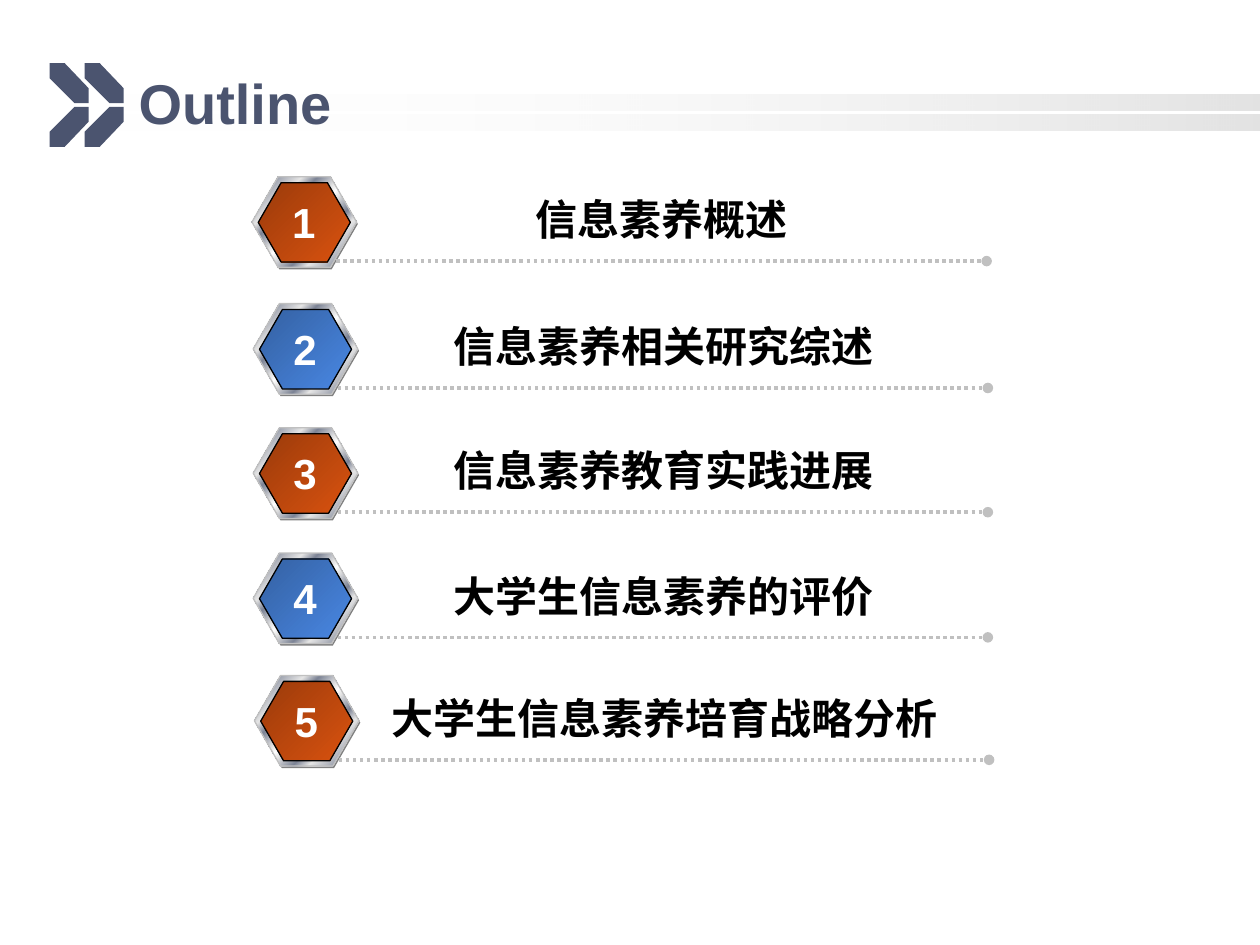
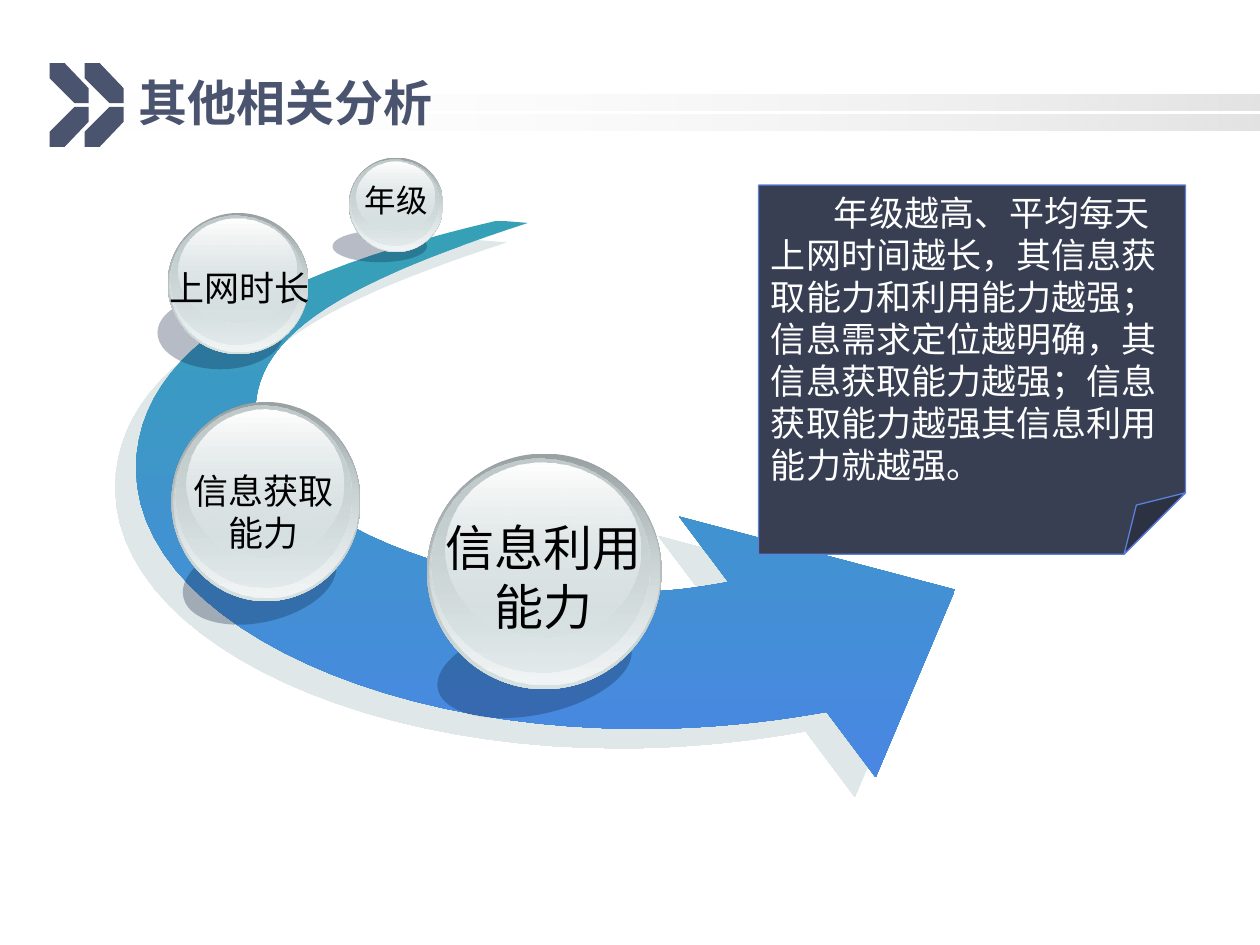
import dataclasses
import typing

import pptx
import pptx.dml.color
import pptx.enum.dml
import pptx.enum.shapes
import pptx.enum.text
import pptx.oxml
import pptx.oxml.ns
import pptx.util

Pt = pptx.util.Pt
SHAPE = pptx.enum.shapes.MSO_SHAPE
ALIGN = pptx.enum.text.PP_ALIGN
ANCHOR = pptx.enum.text.MSO_ANCHOR
Box = tuple[float, float, float, float]
Point = tuple[float, float]
Stop = tuple[int, str, int]  # position, colour name, opacity; numbers in percent
Fill = str | list[Stop]

LATIN_FONT = "Arial"
CHINESE_FONT = "Noto Sans CJK SC"
COLORS = {
    "white": "FFFFFF", "black": "000000", "slate": "4B546F", "band": "969696",
    "hexagon shadow": "808080", "dots": "C0C0C0", "silver": "E6E6E6", "steel": "7D8496",
    "rust dark": "9B3B0B", "rust": "D9520F", "blue dark": "3461A2", "blue": "4987E3",
    "teal": "36A1B6", "arrow shadow": "C1D1D3", "note": "383F53", "note line": "5B81DD",
    "ball shadow": "0F2145", "ball rim": "99A1A2", "ball": "D6E1E2",
    "ball light": "F2F5F5", "ball inner": "C1CBCC",
}


@dataclasses.dataclass(frozen=True)
class TextStyle:
    size: float
    color: str = "black"
    bold: bool = False
    font: str = CHINESE_FONT
    align: ALIGN = ALIGN.CENTER
    wrap: bool = False
    indent: float = 0


@dataclasses.dataclass(frozen=True)
class AgendaItem:
    left: float
    top: float
    text: str


@dataclasses.dataclass(frozen=True)
class Ball:
    box: Box
    shadow: Box
    shadow_rotation: float
    label: Box
    text: str
    size: float


@dataclasses.dataclass(frozen=True)
class Bezier:
    """A cubic curve, pulled from start to end by two handles."""
    start: Point
    start_handle: Point
    end_handle: Point
    end: Point

    def point_at(self, t: float) -> Point:
        weights = ((1 - t) ** 3, 3 * t * (1 - t) ** 2, 3 * t ** 2 * (1 - t), t ** 3)
        corners = (self.start, self.start_handle, self.end_handle, self.end)
        x, y = (sum(weight * corner[axis] for weight, corner in zip(weights, corners))
                for axis in (0, 1))
        return x, y


AGENDA = [
    AgendaItem(144, 101, "信息素养概述"),
    AgendaItem(144.7, 173.5, "信息素养相关研究综述"),
    AgendaItem(144.7, 244.5, "信息素养教育实践进展"),
    AgendaItem(144.7, 316, "大学生信息素养的评价"),
    AgendaItem(145.4, 386, "大学生信息素养培育战略分析"),
]
AGENDA_STYLE = TextStyle(24, bold=True, font=LATIN_FONT, wrap=True)
NUMBER_STYLE = TextStyle(24, "white", bold=True, font=LATIN_FONT)
BADGE_FILLS = [("rust dark", "rust"), ("blue dark", "blue")]
METAL: list[Stop] = [
    (position, color, 100) for position, color in [
        (0, "silver"), (8, "steel"), (26, "silver"), (34, "steel"), (46, "silver"),
        (50, "white"), (54, "silver"), (66, "steel"), (74, "silver"), (93, "steel"),
        (100, "silver")]
]

BALLS = [
    Ball((244, 259.2, 134, 134.6), (249, 355.7, 113, 52.6), 347.9,
         (247, 292.3, 127.4, 75), "信息利用\v能力", 28),
    Ball((98, 229.7, 108, 113.8), (103.7, 307.4, 89.3, 48.2), 347.1,
         (103, 265, 95, 55.4), "信息获取\v能力", 20),
    Ball((95.8, 121.7, 80.6, 80.6), (90, 169.2, 72, 41.8), 0,
         (89.3, 149, 95, 31.7), "上网时长", 20),
    Ball((199.4, 90, 54, 54), (190, 131.8, 54, 18), 0,
         (201, 100, 51, 28.8), "年级", 18),
]
# Each layer: left, top, width, height as shares of the ball, then its gradient
BALL_LAYERS: list[tuple[Box, list[Stop]]] = [
    ((0, 0, 1, 1), [(0, "ball rim", 100), (100, "ball", 100)]),
    ((0.01, 0.01, 0.98, 0.97), [(0, "ball", 0), (100, "ball light", 100)]),
    ((0.02, 0.02, 0.93, 0.91), [(0, "ball inner", 100), (100, "ball", 48)]),
    ((0.08, 0.04, 0.83, 0.74), [(0, "white", 100), (100, "ball", 38)]),
]

NOTE_TEXT = ("年级越高、平均每天上网时间越长，其信息获取能力和利用能力越强；"
             "信息需求定位越明确，其信息获取能力越强；信息获取能力越强其信息利用能力就越强。")
NOTE_STYLE = TextStyle(20, "white", align=ALIGN.LEFT, wrap=True, indent=36)

# The arrow sweeps from its tail round the left and the bottom to the head, and back inside
TAIL_OUTER, TAIL_INNER = (284.4, 126), (301.7, 127.4)
OUTER_LEFT, OUTER_BOTTOM = (77.8, 267.8), (366, 416.5)
INNER_LEFT, INNER_BOTTOM = (146, 235), (367, 338)
NECK_OUTER, NECK_INNER = (472.3, 406.8), (416.2, 332.6)
ARROW_HEAD: list[Point] = [(500.4, 444.2), (545.8, 337), (388.1, 295.2)]
ARROW_OUTER_EDGE = [
    Bezier(TAIL_OUTER, (159.4, 155), (77.8, 197.8), OUTER_LEFT),
    Bezier(OUTER_LEFT, (77.8, 350), (206.8, 416.5), OUTER_BOTTOM),
    Bezier(OUTER_BOTTOM, (402, 416.5), (438, 413), NECK_OUTER),
]
ARROW_INNER_EDGE = [
    Bezier(NECK_INNER, (400, 335.5), (384, 338), INNER_BOTTOM),
    Bezier(INNER_BOTTOM, (248, 338), (146, 288), INNER_LEFT),
    Bezier(INNER_LEFT, (146, 188.3), (203.7, 159.4), TAIL_INNER),
]
STEPS_PER_CURVE = 24

CHEVRON_ARM: list[Point] = [(0, 0), (0, 8.6), (14.4, 23), (22.3, 23), (22.3, 14.4), (8.6, 0)]
CHEVRON_LEFTS = (28.3, 48.3)
CHEVRON_TOP, CHEVRON_MIDDLE = 36, 60


def rgb(name: str) -> pptx.dml.color.RGBColor:
    return pptx.dml.color.RGBColor.from_string(COLORS[name])


def drawing_xml(tag: str, attributes: str = "", content: str = "") -> typing.Any:
    namespace = pptx.oxml.ns.nsdecls("a")
    return pptx.oxml.parse_xml(f"<a:{tag} {namespace} {attributes}>{content}</a:{tag}>")


def find_child(element: typing.Any, tag: str) -> typing.Any:
    return element.find(pptx.oxml.ns.qn(f"a:{tag}"))


def color_xml(name: str, opacity: int) -> str:
    return f'<a:srgbClr val="{COLORS[name]}"><a:alpha val="{opacity * 1000}"/></a:srgbClr>'


def set_attributes(target: typing.Any, formats: dict[str, typing.Any]) -> None:
    for name, value in formats.items():
        setattr(target, name, value)


def in_points(values: typing.Iterable[float]) -> list[pptx.util.Length]:
    return [Pt(value) for value in values]


def paint(shape: typing.Any, fill: Fill, angle: int = 90, line: str | None = None) -> None:
    """Fill with one colour or a gradient, outline if asked, and drop the shadow."""
    shape.shadow.inherit = False
    if isinstance(fill, str):
        shape.fill.solid()
        shape.fill.fore_color.rgb = rgb(fill)
    else:
        shape.fill.background()
        stops = "".join(f'<a:gs pos="{position * 1000}">{color_xml(color, opacity)}</a:gs>'
                        for position, color, opacity in fill)
        direction = f'<a:lin ang="{angle * 60000}" scaled="0"/>'
        gradient = drawing_xml("gradFill", 'rotWithShape="1"',
                               f"<a:gsLst>{stops}</a:gsLst>{direction}")
        properties = shape.element.spPr
        properties.replace(find_child(properties, "noFill"), gradient)
    if line:
        shape.line.color.rgb = rgb(line)
        shape.line.width = Pt(0.75)
    else:
        shape.line.fill.background()


def add_painted(slide: typing.Any, kind: SHAPE, box: Box, fill: Fill,
                angle: int = 90, line: str | None = None) -> typing.Any:
    shape = slide.shapes.add_shape(kind, *in_points(box))
    paint(shape, fill, angle, line)
    return shape


def add_outline(slide: typing.Any, corners: list[Point], fill: Fill) -> typing.Any:
    start, *others = [in_points(corner) for corner in corners]
    builder = slide.shapes.build_freeform(*start)
    builder.add_line_segments(others, close=True)
    shape = builder.convert_to_shape()
    paint(shape, fill)
    return shape


def format_run(run: typing.Any, style: TextStyle) -> None:
    set_attributes(run.font, {"name": style.font, "size": Pt(style.size), "bold": style.bold})
    run.font.color.rgb = rgb(style.color)
    run._r.get_or_add_rPr().append(drawing_xml("ea", f'typeface="{CHINESE_FONT}"'))


def write(shape: typing.Any, text: str, style: TextStyle) -> None:
    frame = shape.text_frame
    set_attributes(frame, {"word_wrap": style.wrap, "vertical_anchor": ANCHOR.TOP})
    paragraph = frame.paragraphs[0]
    set_attributes(paragraph, {"text": text, "alignment": style.align,
                               "line_spacing": Pt(1.2 * style.size)})
    if style.indent:
        paragraph._p.get_or_add_pPr().set("indent", str(Pt(style.indent)))
    for run in paragraph.runs:
        format_run(run, style)


def add_label(slide: typing.Any, box: Box, text: str, style: TextStyle) -> None:
    write(slide.shapes.add_textbox(*in_points(box)), text, style)


def add_layout_decor(slide: typing.Any) -> None:
    """Draw the bands and chevrons, then move them to the slide's layout."""
    decor = [add_painted(slide, SHAPE.RECTANGLE, (54, top, 666, 9.2),
                         [(0, "white", 0), (100, "band", 27)], angle=0)
             for top in (54, 65.5)]
    for left in CHEVRON_LEFTS:
        upper = [(left + x, CHEVRON_TOP + y) for x, y in CHEVRON_ARM]
        lower = [(x, 2 * CHEVRON_MIDDLE - y) for x, y in upper]
        decor += [add_outline(slide, arm, "slate") for arm in (upper, lower)]
    for number, shape in enumerate(decor, start=101):
        shape.element.nvSpPr.cNvPr.set("id", str(number))
        slide.slide_layout.shapes.element.append(shape.element)


def set_title(slide: typing.Any, text: str, size: float) -> None:
    title = slide.shapes.title
    set_attributes(title, {"left": Pt(72), "top": Pt(36), "width": Pt(594), "height": Pt(44.6)})
    frame = title.text_frame
    set_attributes(frame, {"text": text, "word_wrap": True, "vertical_anchor": ANCHOR.MIDDLE,
                           "auto_size": pptx.enum.text.MSO_AUTO_SIZE.NONE})
    paragraph = frame.paragraphs[0]
    paragraph.alignment = ALIGN.LEFT
    format_run(paragraph.runs[0], TextStyle(size, "slate", bold=True, font=LATIN_FONT))


def add_badge(slide: typing.Any, left: float, top: float, number: int) -> None:
    dark, bright = BADGE_FILLS[(number - 1) % len(BADGE_FILLS)]
    hexagons = [
        ((left + 0.7, top + 1.1, 59.8, 51.8), "hexagon shadow", None),
        ((left, top, 59.8, 51.8), METAL, "dots"),
        ((left + 3.6, top + 3.4, 52.6, 45.4), [(0, dark, 100), (100, bright, 100)], "black"),
    ]
    for box, fill, line in hexagons:
        add_painted(slide, SHAPE.HEXAGON, box, fill, 45, line).adjustments[0] = 0.289


def add_dotted_rule(slide: typing.Any, left: float, right: float, height: float) -> None:
    rule = slide.shapes.add_connector(pptx.enum.shapes.MSO_CONNECTOR.STRAIGHT,
                                      *in_points((left, height, right, height)))
    set_attributes(rule.line, {"width": Pt(2), "dash_style": pptx.enum.dml.MSO_LINE.ROUND_DOT})
    rule.line.color.rgb = rgb("dots")
    properties = rule.element.spPr
    find_child(properties, "ln").append(drawing_xml("tailEnd", 'type="oval"'))
    properties.append(drawing_xml("effectLst"))


def add_agenda_item(slide: typing.Any, number: int, item: AgendaItem) -> None:
    left, top = item.left, item.top
    add_badge(slide, left, top, number)
    add_dotted_rule(slide, left + 48.2, left + 419.8, top + 48.2)
    add_label(slide, (left + 66.2, top + 6.2, 336.2, 36), item.text, AGENDA_STYLE)
    add_label(slide, (left + 15.6, top + 7.9, 28, 36), str(number), NUMBER_STYLE)


def sample(edge: list[Bezier]) -> list[Point]:
    """Points along joined curves, with each joint taken once."""
    return [edge[0].start] + [curve.point_at(step / STEPS_PER_CURVE)
                              for curve in edge for step in range(1, STEPS_PER_CURVE + 1)]


def add_curved_arrow(slide: typing.Any) -> None:
    corners = sample(ARROW_OUTER_EDGE) + ARROW_HEAD + sample(ARROW_INNER_EDGE)
    arrow = add_outline(slide, corners, [(0, "teal", 100), (100, "blue", 100)])
    shadow = drawing_xml("outerShdw",
                         f'dist="{Pt(16.3)}" dir="{137 * 60000}" algn="ctr" rotWithShape="0"',
                         color_xml("arrow shadow", 50))
    find_child(arrow.element.spPr, "effectLst").append(shadow)


def add_ball(slide: typing.Any, ball: Ball) -> None:
    shadow = add_painted(slide, SHAPE.OVAL, ball.shadow, "ball shadow")
    shadow.rotation = ball.shadow_rotation
    find_child(shadow.element.spPr, "solidFill")[0].append(drawing_xml("alpha", 'val="30000"'))
    left, top, width, height = ball.box
    for (x, y, across, down), stops in BALL_LAYERS:
        layer = (left + x * width, top + y * height, across * width, down * height)
        add_painted(slide, SHAPE.OVAL, layer, stops)
    add_label(slide, ball.label, ball.text, TextStyle(ball.size))


def main() -> None:
    presentation = pptx.Presentation()
    presentation.slide_width, presentation.slide_height = Pt(720), Pt(540)
    title_only = presentation.slide_layouts[5]

    outline = presentation.slides.add_slide(title_only)
    add_layout_decor(outline)
    set_title(outline, "Outline", 32)
    for number, item in enumerate(AGENDA, start=1):
        add_agenda_item(outline, number, item)

    analysis = presentation.slides.add_slide(title_only)
    set_title(analysis, "其他相关分析", 28)
    add_curved_arrow(analysis)
    note = add_painted(analysis, SHAPE.FOLDED_CORNER, (433.5, 105.8, 244, 211), "note",
                       line="note line")
    write(note, NOTE_TEXT, NOTE_STYLE)
    for ball in BALLS:
        add_ball(analysis, ball)

    presentation.save("out.pptx")


if __name__ == "__main__":
    main()
